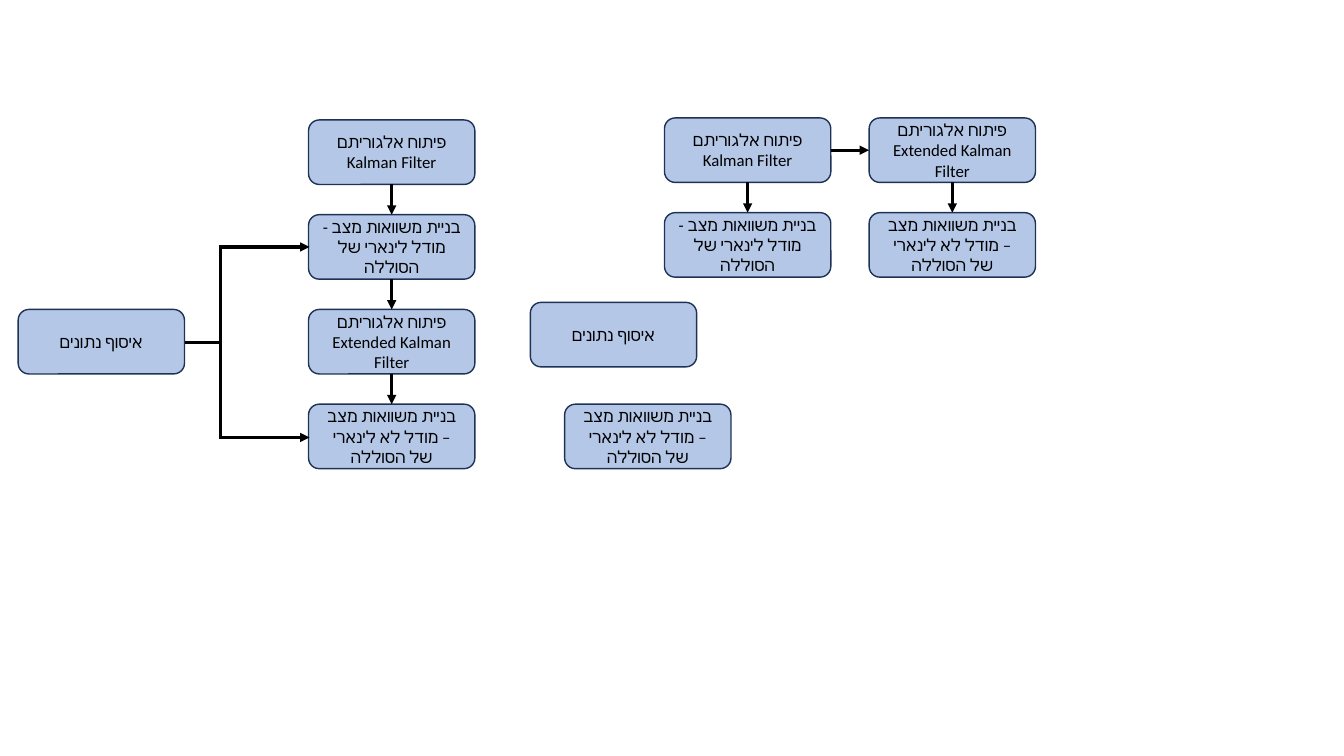
from dataclasses import dataclass

from lxml.etree import SubElement
from pptx import Presentation
from pptx.dml.color import RGBColor
from pptx.enum.shapes import MSO_CONNECTOR, MSO_SHAPE
from pptx.enum.text import MSO_ANCHOR, PP_ALIGN
from pptx.oxml.ns import qn
from pptx.shapes.autoshape import Shape
from pptx.shapes.connector import Connector
from pptx.slide import Slide
from pptx.util import Emu, Pt

PX = 9144  # EMU per px, 100 px to the inch
BLACK = RGBColor(0x00, 0x00, 0x00)
BOX_FILL = RGBColor(0xB4, 0xC7, 0xE7)
BOX_LINE = RGBColor(0x1E, 0x32, 0x56)

BOX_W, BOX_H = 165, 64
STEP_Y = 94
TOP, LEFT, BOTTOM, RIGHT = range(4)  # connection sites of a box

FONT_FORMAT = {"name": "Calibri", "size": Pt(12)}
FRAME_FORMAT = {"word_wrap": True, "vertical_anchor": MSO_ANCHOR.MIDDLE}

COLLECT = "איסוף נתונים"
KALMAN = "פיתוח אלגוריתם Kalman Filter"
LINEAR = "בניית משוואות מצב -מודל לינארי של הסוללה"
EXTENDED = "פיתוח אלגוריתם Extended Kalman Filter"
NONLINEAR = "בניית משוואות מצב – מודל לא לינארי של הסוללה"


@dataclass(frozen=True)
class Stack:
    """Boxes below one another, each joined to the next by an arrow."""
    x: int
    y: int
    texts: tuple[str, ...]


@dataclass(frozen=True)
class Segment:
    x1: int
    y1: int
    x2: int
    y2: int
    arrow: bool = False


MAIN_STACK = Stack(306, 119, (KALMAN, LINEAR, EXTENDED, NONLINEAR))
KALMAN_STACK = Stack(659, 117, (KALMAN, LINEAR))
EXTENDED_STACK = Stack(862, 117, (EXTENDED, NONLINEAR))
SINGLES = (
    Stack(18, 307, (COLLECT,)),
    Stack(560, 401, (NONLINEAR,)),
    Stack(526, 300, (COLLECT,)),
)
FORK = (
    Segment(217, 245, 307, 245, arrow=True),
    Segment(183, 340, 219, 340),
    Segment(219, 434, 219, 245),
    Segment(217, 434, 307, 434, arrow=True),
)


def px(n: int) -> Emu:
    return Emu(n * PX)


def apply_format(target: object, values: dict[str, object]) -> None:
    for name, value in values.items():
        setattr(target, name, value)


def add_box(slide: Slide, x: int, y: int, text: str) -> Shape:
    sp = slide.shapes.add_shape(
        MSO_SHAPE.ROUNDED_RECTANGLE, px(x), px(y), px(BOX_W), px(BOX_H))
    sp.shadow.inherit = False
    sp.fill.solid()
    sp.fill.fore_color.rgb = BOX_FILL
    sp.line.color.rgb = BOX_LINE
    sp.line.width = Pt(1)
    tf = sp.text_frame
    apply_format(tf, FRAME_FORMAT)
    p = tf.paragraphs[0]
    p.alignment = PP_ALIGN.CENTER
    p._p.get_or_add_pPr().set("rtl", "1")
    r = p.add_run()
    r.text = text
    apply_format(r.font, FONT_FORMAT)
    r.font.color.rgb = BLACK
    SubElement(r._r.get_or_add_rPr(), qn("a:cs"), typeface=FONT_FORMAT["name"])
    return sp


def add_segment(slide: Slide, seg: Segment) -> Connector:
    cxn = slide.shapes.add_connector(
        MSO_CONNECTOR.STRAIGHT, px(seg.x1), px(seg.y1), px(seg.x2), px(seg.y2))
    cxn.line.color.rgb = BLACK
    cxn.line.width = Pt(2.25)
    if seg.arrow:
        SubElement(cxn.line._get_or_add_ln(), qn("a:tailEnd"), type="triangle")
    SubElement(cxn._element.spPr, qn("a:effectLst"))
    return cxn


def join(slide: Slide, start: Shape, start_site: int,
         end: Shape, end_site: int) -> None:
    cxn = add_segment(slide, Segment(0, 0, 0, 0, arrow=True))
    cxn.begin_connect(start, start_site)
    cxn.end_connect(end, end_site)


def add_stack(slide: Slide, stack: Stack) -> list[Shape]:
    boxes = [add_box(slide, stack.x, stack.y + i * STEP_Y, text)
             for i, text in enumerate(stack.texts)]
    for upper, lower in zip(boxes, boxes[1:]):
        join(slide, upper, BOTTOM, lower, TOP)
    return boxes


def main() -> None:
    prs = Presentation()
    prs.slide_width, prs.slide_height = px(1333), px(750)
    slide = prs.slides.add_slide(prs.slide_layouts[6])
    add_stack(slide, MAIN_STACK)
    for single in SINGLES:
        add_stack(slide, single)
    for seg in FORK:
        add_segment(slide, seg)
    kalman = add_stack(slide, KALMAN_STACK)
    extended = add_stack(slide, EXTENDED_STACK)
    join(slide, kalman[0], RIGHT, extended[0], LEFT)
    prs.save("out.pptx")


if __name__ == "__main__":
    main()
